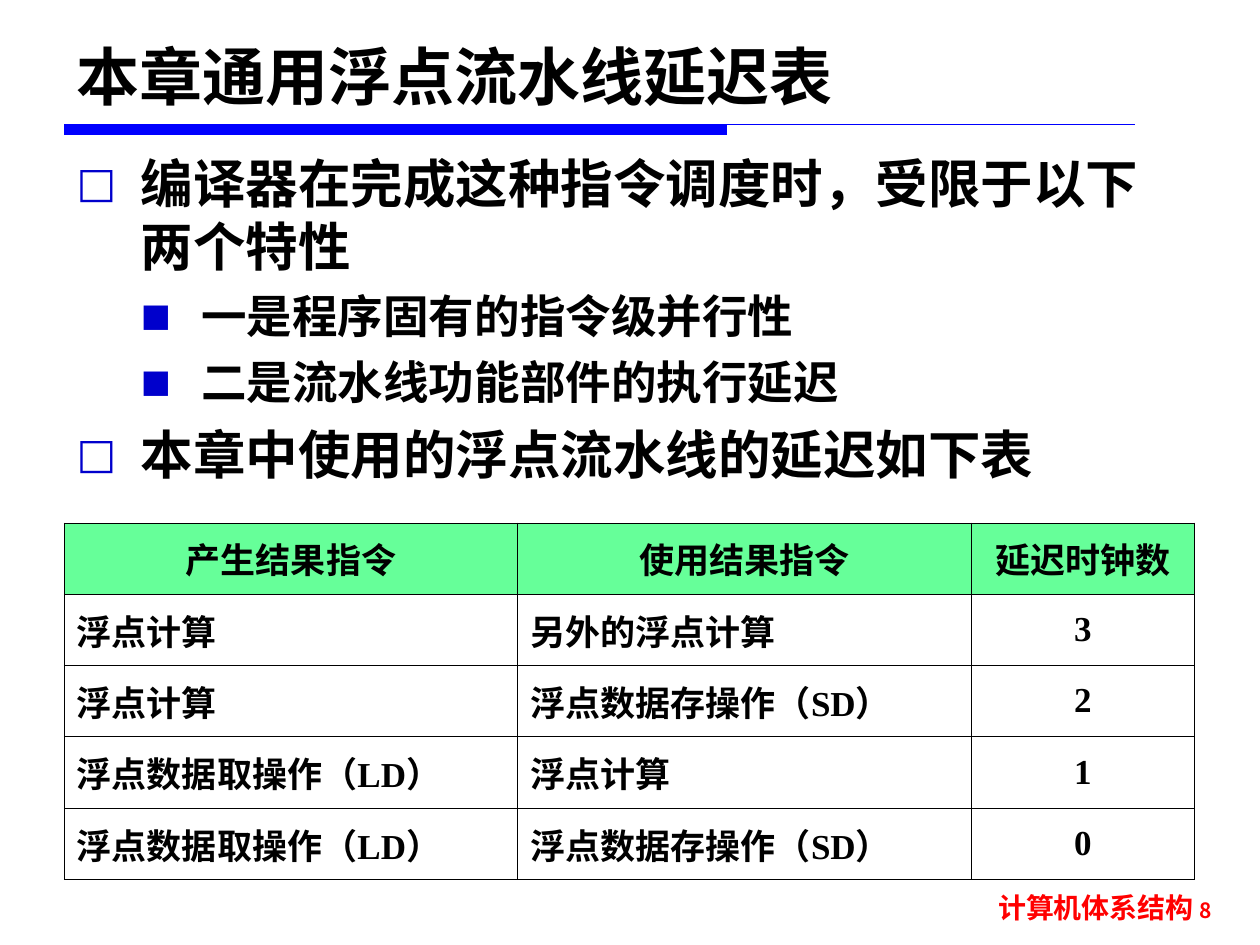
from dataclasses import dataclass
from lxml.etree import SubElement
from pptx import Presentation
from pptx.dml.color import RGBColor
from pptx.enum.shapes import MSO_CONNECTOR, MSO_SHAPE
from pptx.enum.text import MSO_ANCHOR, PP_ALIGN
from pptx.oxml.ns import qn
from pptx.util import Inches, Pt


@dataclass(frozen=True)
class Theme:
    """Colours, fonts and type sizes of the slide."""
    ink: str = "000000"
    rule: str = "0000FF"
    bullet: str = "0000CC"
    footer: str = "FF0000"
    header: str = "66FF99"
    sans: str = "DejaVu Sans"
    cjk: str = "Noto Sans CJK SC"
    serif: str = "Times New Roman"
    title_size: int = 36
    body_sizes: tuple = (30, 26)
    table_size: int = 20
    footer_size: int = 16
    number_size: int = 12
    border: float = 0.45


T = Theme()
BULLETS = (("□", 0.51, 0.51, 7.5, 80), ("■", 0.99, 0.48, 6.5, 70))
POINTS = (
    (0, "编译器在完成这种指令调度时，受限于以下两个特性"),
    (1, "一是程序固有的指令级并行性"),
    (1, "二是流水线功能部件的执行延迟"),
    (0, "本章中使用的浮点流水线的延迟如下表"),
)
COMPUTE = ("浮点计算",)
LOAD = ("浮点数据取操作（", "LD", "）")
STORE = ("浮点数据存操作（", "SD", "）")
DELAYS = (
    (("产生结果指令",), ("使用结果指令",), ("延迟时钟数",)),
    (COMPUTE, ("另外的浮点计算",), ("3",)),
    (COMPUTE, STORE, ("2",)),
    (LOAD, COMPUTE, ("1",)),
    (LOAD, STORE, ("0",)),
)


def add_run(p, text, size, face, color=T.ink):
    """Add one bold run with its Latin and East Asian face."""
    r = p.add_run()
    r.text = text
    r.font.size, r.font.bold, r.font.name = Pt(size), True, face
    r.font.color.rgb = RGBColor.from_string(color)
    SubElement(r.font._element, qn("a:ea"), typeface=face)


def add_text_frame(slide, box, anchor=MSO_ANCHOR.TOP):
    """Add a wrapping text box and return its frame."""
    tf = slide.shapes.add_textbox(*map(Inches, box)).text_frame
    tf.word_wrap = True
    tf.vertical_anchor = anchor
    return tf


def set_bullet(p, level):
    """Give a paragraph the indent and bullet of its level."""
    char, left, hang, _, percent = BULLETS[level]
    pPr = p._p.get_or_add_pPr()
    pPr.set("marL", str(Inches(left)))
    pPr.set("indent", str(-Inches(hang)))
    color = SubElement(pPr, qn("a:buClr"))
    SubElement(color, qn("a:srgbClr"), val=T.bullet)
    SubElement(pPr, qn("a:buSzPct"), val=str(percent * 1000))
    SubElement(pPr, qn("a:buFont"), typeface=T.sans)
    SubElement(pPr, qn("a:buChar"), char=char)


def set_borders(cell):
    """Draw a thin line on all four sides of a cell."""
    tcPr = cell._tc.get_or_add_tcPr()
    for index, side in enumerate(("lnL", "lnR", "lnT", "lnB")):
        ln = tcPr.makeelement(qn(f"a:{side}"), {"w": str(Pt(T.border))})
        fill = SubElement(ln, qn("a:solidFill"))
        SubElement(fill, qn("a:srgbClr"), val=T.ink)
        tcPr.insert(index, ln)


def add_rule(slide, box):
    """Draw the thin line with the thick bar under its left part."""
    x, y, w, h = box
    sp = slide.shapes.add_shape(
        MSO_SHAPE.RECTANGLE, *map(Inches, (x, y, 5.26, h)))
    sp.shadow.inherit = False
    sp.fill.solid()
    sp.fill.fore_color.rgb = RGBColor.from_string(T.rule)
    sp.line.fill.background()
    line = slide.shapes.add_connector(
        MSO_CONNECTOR.STRAIGHT, *map(Inches, (x, y, x + w, y)))
    line.line.color.rgb = RGBColor.from_string(T.rule)
    line.line.width = Pt(0.75)
    SubElement(line._element.spPr, qn("a:effectLst"))


def add_footer(slide, box):
    """Write the course name and the page number."""
    p = add_text_frame(slide, box).paragraphs[0]
    p.alignment = PP_ALIGN.RIGHT
    add_run(p, "计算机体系结构 ", T.footer_size, T.cjk, T.footer)
    add_run(p, "8", T.number_size, T.cjk, T.footer)


def add_title(slide, box):
    """Write the slide title."""
    p = add_text_frame(slide, box, MSO_ANCHOR.BOTTOM).paragraphs[0]
    add_run(p, "本章通用浮点流水线延迟表", T.title_size, T.sans)


def add_points(slide, box):
    """Write the two-level bullet list."""
    tf = add_text_frame(slide, box)
    for i, (level, text) in enumerate(POINTS):
        p = tf.add_paragraph() if i else tf.paragraphs[0]
        p.level = level
        set_bullet(p, level)
        p.space_before = Pt(BULLETS[level][3] if i else 0)
        add_run(p, text, T.body_sizes[level], T.sans)


def add_delay_table(slide, box):
    """Build the table of delays between instruction pairs."""
    table = slide.shapes.add_table(
        len(DELAYS), len(DELAYS[0]), *map(Inches, box)).table
    table.horz_banding = False
    for column, width in zip(table.columns, (3.6, 3.6, 1.77)):
        column.width = Inches(width)
    for i, row in enumerate(DELAYS):
        for j, parts in enumerate(row):
            cell = table.cell(i, j)
            cell.vertical_anchor = MSO_ANCHOR.MIDDLE
            if i:
                cell.fill.background()
            else:
                cell.fill.solid()
                cell.fill.fore_color.rgb = RGBColor.from_string(T.header)
            set_borders(cell)
            p = cell.text_frame.paragraphs[0]
            centred = i == 0 or j == 2
            p.alignment = PP_ALIGN.CENTER if centred else PP_ALIGN.JUSTIFY
            for part in parts:
                face = T.serif if part.isascii() else T.cjk
                add_run(p, part, T.table_size, face)


def main():
    """Build and save the slide."""
    prs = Presentation()
    prs.slide_width, prs.slide_height = Inches(10), Inches(7.5)
    slide = prs.slides.add_slide(prs.slide_layouts[6])
    add_rule(slide, (0.51, 0.99, 8.5, 0.08))
    add_footer(slide, (7.27, 7.02, 2.45, 0.43))
    add_title(slide, (0.51, 0.21, 8.66, 0.74))
    add_points(slide, (0.51, 1.15, 8.98, 2.83))
    add_delay_table(slide, (0.51, 4.15, 8.98, 2.83))
    prs.save("out.pptx")


if __name__ == "__main__":
    main()
